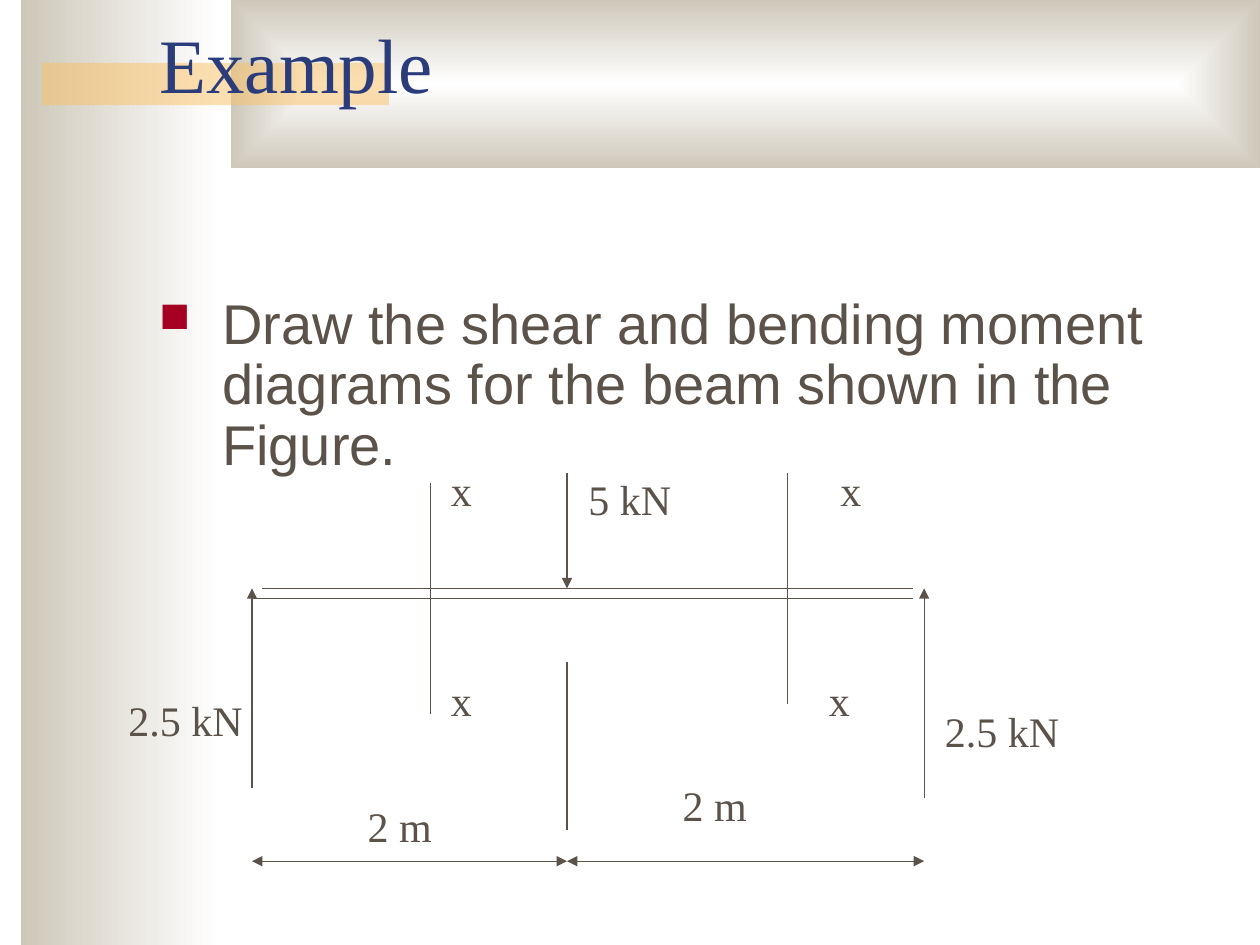
from dataclasses import dataclass

from lxml import etree
from pptx import Presentation
from pptx.dml.color import RGBColor
from pptx.enum.shapes import MSO_CONNECTOR, MSO_SHAPE
from pptx.enum.text import MSO_ANCHOR, MSO_AUTO_SIZE, PP_ALIGN
from pptx.oxml.ns import qn
from pptx.util import Cm, Pt

RECT = MSO_SHAPE.RECTANGLE
LINE = MSO_CONNECTOR.STRAIGHT
LEFT = PP_ALIGN.LEFT
TOP, BOTTOM = MSO_ANCHOR.TOP, MSO_ANCHOR.BOTTOM
FIXED = MSO_AUTO_SIZE.NONE


@dataclass(frozen=True)
class Theme:
    ink: str = "5B5249"
    head: str = "2A3D7A"
    mark: str = "A50021"
    sand: str = "CEC8BA"
    gold: str = "FAC164"
    white: str = "FFFFFF"
    serif: str = "Times New Roman"
    sans: str = "Arial"
    title: int = 44
    body: int = 32
    label: int = 24
    rule: float = 0.75


LOOK = Theme()


def rgb(code):
    return RGBColor.from_string(code)


def add_tag(parent, tag, **attrs):
    return etree.SubElement(parent, qn(tag), attrs)


def put_text(shape, text, font=LOOK.serif, size=LOOK.label, color=LOOK.ink,
             anchor=TOP, wrap=True, bullet=False):
    frame = shape.text_frame
    frame.word_wrap = wrap
    frame.auto_size = FIXED
    frame.vertical_anchor = anchor
    frame.text = text
    para = frame.paragraphs[0]
    para.alignment = LEFT
    if bullet:
        para.line_spacing = 0.9
        props = para._p.get_or_add_pPr()
        props.set("marL", str(Cm(1.27)))
        props.set("indent", str(-Cm(1.27)))
        add_tag(add_tag(props, "a:buClr"), "a:srgbClr", val=LOOK.mark)
        add_tag(props, "a:buSzPct", val="75000")
        add_tag(props, "a:buChar", char="■")
    para.font.name = font
    para.font.size = Pt(size)
    para.font.color.rgb = rgb(color)


def add_label(slide, text, x, y, wide, high=1.27, **form):
    box = slide.shapes.add_textbox(Cm(x), Cm(y), Cm(wide), Cm(high))
    put_text(box, text, **form)


def add_rect(slide, box):
    shape = slide.shapes.add_shape(RECT, *map(Cm, box))
    shape.shadow.inherit = False
    shape.line.fill.background()
    return shape


def add_blend(slide, box, first, last):
    shape = add_rect(slide, box)
    shape.fill.gradient()
    shape.fill.gradient_angle = 0
    for stop, color in zip(shape.fill.gradient_stops, (first, last)):
        stop.color.rgb = rgb(color)
    return shape


def add_line(slide, start, end, head=False, tail=False):
    line = slide.shapes.add_connector(LINE, *map(Cm, (*start, *end)))
    line.line.color.rgb = rgb(LOOK.ink)
    line.line.width = Pt(LOOK.rule)
    stroke = line.line._get_or_add_ln()
    for tag, shown in (("a:headEnd", head), ("a:tailEnd", tail)):
        if shown:
            add_tag(stroke, tag, type="triangle")
    add_tag(line._element.spPr, "a:effectLst")


def draw_decor(slide, box):
    left, top, wide, high = box
    # Side band, fading to the right
    add_blend(slide, (left + 0.42, top, 4.02, high), LOOK.sand, LOOK.white)
    # Top band, fading to its centre
    band = add_blend(slide, (left + 4.66, top, wide - 4.66, 3.39),
                     LOOK.white, LOOK.sand)
    grad = band._element.spPr.find(qn("a:gradFill"))
    grad.remove(grad.find(qn("a:lin")))
    edges = dict.fromkeys("ltrb", "50000")
    add_tag(add_tag(grad, "a:path", path="rect"), "a:fillToRect", **edges)
    # Half-clear bar under the title
    bar = add_rect(slide, (left + 0.85, top + 1.27, 6.99, 0.85))
    bar.fill.solid()
    bar.fill.fore_color.rgb = rgb(LOOK.gold)
    color = bar._element.spPr.find(".//" + qn("a:srgbClr"))
    add_tag(color, "a:alpha", val="50000")


def place_title(slide, box):
    title = slide.shapes.title
    title.left, title.top, title.width, title.height = map(Cm, box)
    put_text(title, "Example", size=LOOK.title, color=LOOK.head, anchor=BOTTOM)
    # Bring the title in front of the bands
    title._element.getparent().append(title._element)


def place_task(slide, box):
    add_label(slide, "Draw the shear and bending moment diagrams for the beam "
              "shown in the Figure.", *box, font=LOOK.sans, size=LOOK.body,
              bullet=True)


def draw_beam(slide, box):
    left, top, wide, high = box
    mid, beam = 6.35, 2.33

    def rule(x1, y1, x2, y2, **ends):
        add_line(slide, (left + x1, top + y1), (left + x2, top + y2), **ends)

    # Beam
    rule(0, 2.54, 13.33, 2.54)
    rule(0.21, beam, 13.33, beam)
    # Reactions and load
    for x, y in ((0, 6.35), (wide, 6.56), (mid, 0)):
        rule(x, y, x, beam, tail=True)
    # Section cuts and centre mark
    for x, y1, y2 in ((3.6, 0.21, 4.87), (10.8, 0, 4.66), (mid, 3.81, 7.2)):
        rule(x, y1, x, y2)
    # Spans
    for x1, x2 in ((0, mid), (mid, wide)):
        rule(x1, high, x2, high, head=True, tail=True)
    # Labels
    for text, x, y, size in (
        ("5 kN", 6.53, -0.1, 2.18),
        ("2.5 kN", -2.74, 4.34, 3.4),
        ("2.5 kN", 13.72, 4.57, 2.82),
        ("2 m", 2.08, 6.48, 1.8),
        ("2 m", 8.43, 6.05, 1.8),
        ("x", 3.76, -0.3, 0.91),
        ("x", 3.76, 3.94, 0.91),
        ("x", 11.61, -0.3, 0.91),
        ("x", 11.38, 3.94, 0.91),
    ):
        add_label(slide, text, left + x, top + y, size, wrap=size > 3)


def main():
    deck = Presentation()
    deck.slide_width, deck.slide_height = Cm(25.4), Cm(19.05)
    slide = deck.slides.add_slide(deck.slide_layouts[5])
    draw_decor(slide, (0, 0, 25.4, 19.05))
    place_title(slide, (2.96, -0.85, 21.59, 3.18))
    place_task(slide, (2.96, 5.84, 21.59, 4.24))
    draw_beam(slide, (5.08, 9.53, 13.55, 7.83))
    deck.save("out.pptx")


if __name__ == "__main__":
    main()
